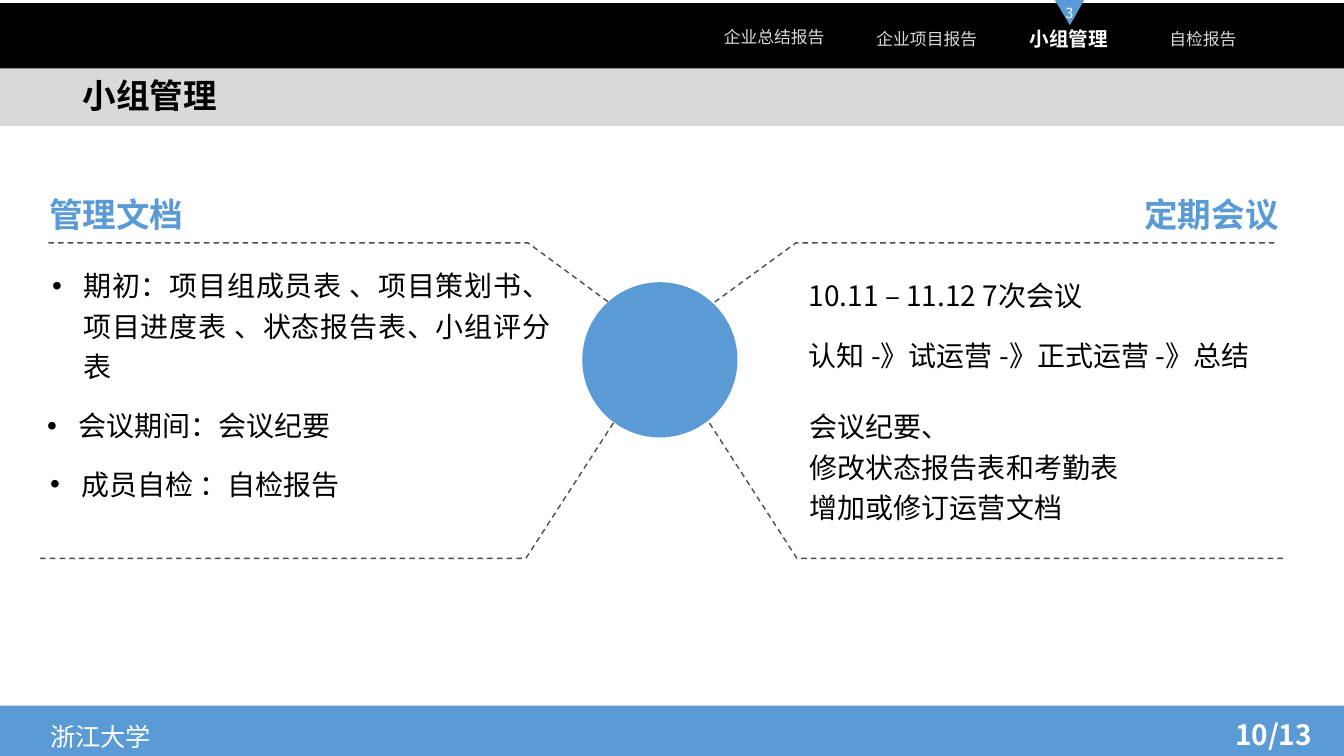
from dataclasses import dataclass, field
from typing import Any

from lxml.etree import SubElement
from pptx import Presentation
from pptx.dml.color import RGBColor
from pptx.enum.dml import MSO_LINE
from pptx.enum.shapes import MSO_SHAPE as Preset
from pptx.enum.text import MSO_ANCHOR as Anchor, PP_ALIGN as Align
from pptx.oxml.ns import qn
from pptx.shapes.autoshape import Shape
from pptx.slide import Slide
from pptx.text.text import TextFrame
from pptx.util import Inches, Pt

FONT = "Noto Sans CJK SC"
BLUE, BLACK, WHITE, GREY, DARK_GREY = "5B9BD5", "000000", "FFFFFF", "D9D9D9", "4D4D4D"
Box = tuple[float, float, float, float]
Point = tuple[float, float]

NAVIGATION = {"size": Pt(12), "color": GREY, "anchor": Anchor.MIDDLE, "align": Align.CENTER}
ACTIVE = NAVIGATION | {"size": Pt(14), "color": WHITE, "bold": True}
MARKER = NAVIGATION | {"size": Pt(10), "color": WHITE}
HEADING = {"size": Pt(24), "color": BLUE, "bold": True}
BODY = {"size": Pt(20), "color": BLACK, "align": Align.JUSTIFY, "line_spacing": 1.2}
BULLET = BODY | {"bullet": True}


@dataclass
class Label:
    box: Box
    lines: list[str]
    style: dict[str, Any] = field(default_factory=dict)


@dataclass
class Figure:
    preset: Preset
    box: Box
    color: str


FIGURES = [
    Figure(Preset.RECTANGLE, (0, 0.6, 13.34, 0.65), GREY),
    Figure(Preset.RECTANGLE, (0, 0.03, 13.34, 0.65), BLACK),
    Figure(Preset.RECTANGLE, (0, 7, 13.34, 0.54), BLUE),
]
HUB = Figure(Preset.OVAL, (5.78, 2.8, 1.54, 1.54), BLUE)

MARKER_OUTLINE = [(10.47, 0), (10.76, 0), (10.62, 0.25)]
BRANCHES = [
    [(12.65, 2.41), (7.9, 2.41), (6.72, 3.27), (6.72, 3.7), (7.91, 5.54), (12.77, 5.54)],
    [(0.48, 2.41), (5.24, 2.41), (6.41, 3.27), (6.41, 3.7), (5.22, 5.54), (0.37, 5.54)],
]

LABELS = [
    Label((6.96, 0.13, 1.45, 0.47), ["企业总结报告"], NAVIGATION),
    Label((8.53, 0.18, 1.34, 0.41), ["企业项目报告"], NAVIGATION),
    Label((9.77, 0.15, 1.68, 0.47), ["小组管理"], ACTIVE),
    Label((11.39, 0.15, 1.1, 0.47), ["自检报告"], NAVIGATION),
    Label((0.39, 1.87, 1.68, 0.5), ["管理文档"], HEADING),
    Label((0.42, 2.55, 5.14, 1.3),
          ["期初：项目组成员表 、项目策划书、项目进度表 、状态报告表、小组评分表"], BULLET),
    Label((0.37, 3.94, 5.14, 0.5), ["会议期间：会议纪要"], BULLET),
    Label((0.4, 4.52, 5.14, 0.5), ["成员自检 ：自检报告"], BULLET),
    Label((11.11, 1.87, 1.68, 0.5), ["定期会议"], HEADING | {"align": Align.RIGHT}),
    Label((7.93, 2.65, 5.14, 0.5), ["10.11 – 11.12 7次会议"], BODY),
    Label((7.93, 3.24, 5.14, 0.5), ["认知 -》试运营 -》正式运营 -》总结"], BODY),
    Label((7.94, 3.95, 5.14, 1.3),
          ["会议纪要、", "修改状态报告表和考勤表", "增加或修订运营文档"], BODY),
    Label((0.4, 7.05, 1.9, 0.46), ["浙江大学"],
          {"size": Pt(18), "color": WHITE, "line_spacing": 1.2}),
    Label((12.16, 7.07, 1.15, 0.44), ["10/13"],
          {"size": Pt(20), "color": WHITE, "bold": True}),
]
TITLE = Label((0.72, 0.74, 4.25, 0.47), ["小组管理"],
              HEADING | {"color": BLACK, "line_spacing": 0.9})


def rgb(color: str) -> RGBColor:
    return RGBColor.from_string(color)


def add_bullet(paragraph: Any) -> None:
    properties = paragraph._p.get_or_add_pPr()
    properties.set("marL", str(Inches(0.31)))
    properties.set("indent", str(Inches(-0.31)))
    SubElement(properties, qn("a:buFont")).set("typeface", "Arial")
    SubElement(properties, qn("a:buChar")).set("char", "•")


def write_text(frame: TextFrame, lines: list[str], style: dict[str, Any]) -> None:
    frame.word_wrap = True
    frame.vertical_anchor = style.get("anchor", Anchor.TOP)
    frame.text = "\n".join(lines)
    paragraph_format = {
        "alignment": style.get("align", Align.LEFT),
        "line_spacing": style.get("line_spacing", 1.0),
        "space_before": Pt(0),
    }
    font_format = {"name": FONT, "size": style["size"], "bold": style.get("bold", False)}
    for paragraph in frame.paragraphs:
        if style.get("bullet"):
            add_bullet(paragraph)
        for name, value in paragraph_format.items():
            setattr(paragraph, name, value)
        for run in paragraph.runs:
            for name, value in font_format.items():
                setattr(run.font, name, value)
            run.font.color.rgb = rgb(style["color"])
            SubElement(run._r.get_or_add_rPr(), qn("a:ea")).set("typeface", FONT)


def paint(shape: Shape, color: str) -> None:
    shape.shadow.inherit = False
    shape.fill.solid()
    shape.fill.fore_color.rgb = rgb(color)
    shape.line.fill.background()


def add_figure(slide: Slide, figure: Figure) -> None:
    paint(slide.shapes.add_shape(figure.preset, *map(Inches, figure.box)), figure.color)


def add_outline(slide: Slide, points: list[Point], close: bool) -> Shape:
    start, *rest = [(Inches(x), Inches(y)) for x, y in points]
    builder = slide.shapes.build_freeform(*start)
    builder.add_line_segments(rest, close=close)
    return builder.convert_to_shape()


def add_branch(slide: Slide, points: list[Point]) -> None:
    branch = add_outline(slide, points, close=False)
    branch.shadow.inherit = False
    branch.fill.background()
    branch.line.color.rgb = rgb(DARK_GREY)
    branch.line.width = Pt(1)
    branch.line.dash_style = MSO_LINE.DASH


def add_label(slide: Slide, label: Label) -> None:
    text_box = slide.shapes.add_textbox(*map(Inches, label.box))
    write_text(text_box.text_frame, label.lines, label.style)


def place_title(slide: Slide, label: Label) -> None:
    """Format the title placeholder and bring it in front of the bars."""
    title = slide.shapes.title
    for name, value in zip(("left", "top", "width", "height"), label.box):
        setattr(title, name, Inches(value))
    write_text(title.text_frame, label.lines, label.style)
    title.element.getparent().append(title.element)


def main() -> None:
    presentation = Presentation()
    presentation.slide_width = Inches(13.34)
    presentation.slide_height = Inches(7.5)
    slide = presentation.slides.add_slide(presentation.slide_layouts[5])

    for figure in FIGURES:
        add_figure(slide, figure)
    marker = add_outline(slide, MARKER_OUTLINE, close=True)
    paint(marker, BLUE)
    write_text(marker.text_frame, ["3"], MARKER)
    place_title(slide, TITLE)
    for points in BRANCHES:
        add_branch(slide, points)
    add_figure(slide, HUB)
    for label in LABELS:
        add_label(slide, label)

    presentation.save("out.pptx")


if __name__ == "__main__":
    main()
